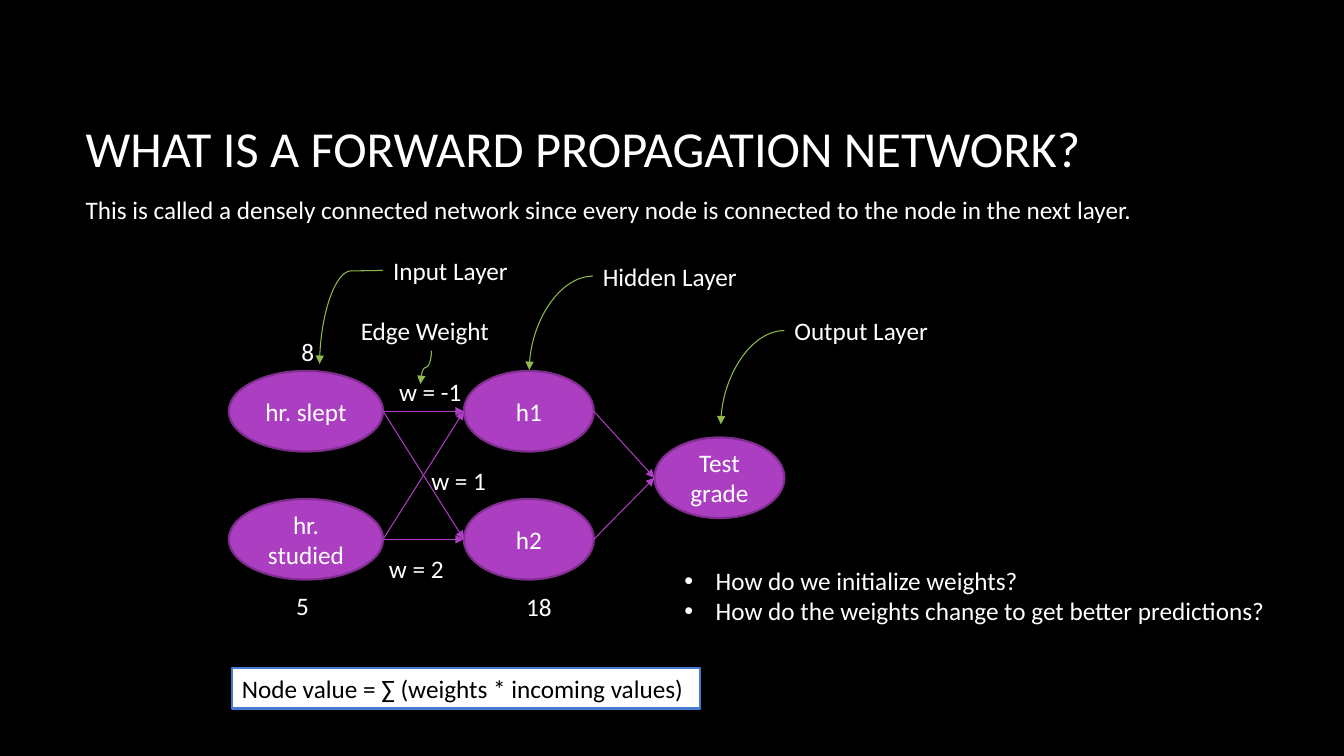
"""Builds a slide that explains a forward propagation network."""
from collections import namedtuple
from itertools import product

from lxml import etree
from pptx import Presentation
from pptx import util as u
from pptx.dml.color import RGBColor
from pptx.enum import shapes, text
from pptx.oxml.ns import qn

COLOURS = {
    "page": "000000", "light": "FFFFFF", "dark": "000000",
    "node": "AC3EC1", "node_edge": "7F2E8F",
    "pointer": "90BA4C", "formula_edge": "477BD1",
}
Box = namedtuple("Box", "left top width height")


def colour(name):
    """Return the named colour."""
    return RGBColor.from_string(COLOURS[name])


def lengths(*values):
    """Convert inches to slide lengths."""
    return [u.Inches(value) for value in values]


def set_values(target, values):
    """Set each attribute in a dict of format values."""
    for name, value in values.items():
        setattr(target, name, value)


def write(shape, lines, size=18, ink="light", wrap=True, grow=True, middle=False, centred=False):
    """Write lines of text into a shape and return its frame."""
    frame = shape.text_frame
    set_values(frame, {
        "text": "\n".join(lines),
        "word_wrap": wrap,
        "auto_size": text.MSO_AUTO_SIZE.SHAPE_TO_FIT_TEXT if grow else text.MSO_AUTO_SIZE.NONE,
        "vertical_anchor": text.MSO_ANCHOR.MIDDLE if middle else text.MSO_ANCHOR.TOP,
    })
    for para in frame.paragraphs:
        para.alignment = text.PP_ALIGN.CENTER if centred else text.PP_ALIGN.LEFT
        for span in para.runs:
            set_values(span.font, {"name": "Calibri", "size": u.Pt(size)})
            span.font.color.rgb = colour(ink)
    return frame


def add_label(page, box, *lines, **style):
    """Add a text box."""
    return write(page.shapes.add_textbox(*lengths(*box)), lines, **style)


def add_panel(page, kind, box, fill, edge, line, **style):
    """Add a filled, outlined shape with text."""
    shape = page.shapes.add_shape(kind, *lengths(*box))
    shape.shadow.inherit = False
    shape.fill.solid()
    shape.fill.fore_color.rgb = colour(fill)
    shape.line.color.rgb = colour(edge)
    shape.line.width = u.Pt(1.5)
    write(shape, [line], **style)


def add_arrow(page, kind, start, end, ink):
    """Add a thin arrow between two points."""
    arrow = page.shapes.add_connector(kind, *lengths(*start, *end))
    arrow.line.color.rgb = colour(ink)
    arrow.line.width = u.Pt(0.75)
    etree.SubElement(arrow.line._get_or_add_ln(), qn("a:tailEnd"), type="triangle")
    etree.SubElement(arrow._element.spPr, qn("a:effectLst"))
    return arrow


def add_bend(page, start, end):
    """Add a pointer that leaves sideways and arrives from above."""
    arrow = add_arrow(page, shapes.MSO_CONNECTOR.CURVE, start, end, "pointer")
    arrow._element.spPr.find(qn("a:prstGeom")).set("prst", "curvedConnector2")


def add_drop(page, start, end, turn):
    """Add an S-shaped pointer that leaves and arrives vertically."""
    middle_x, middle_y = (start[0] + end[0]) / 2, (start[1] + end[1]) / 2
    half_drop, half_shift = (end[1] - start[1]) / 2, (start[0] - end[0]) / 2
    arrow = add_arrow(
        page, shapes.MSO_CONNECTOR.CURVE,
        (middle_x - half_drop, middle_y - half_shift),
        (middle_x + half_drop, middle_y + half_shift), "pointer")
    properties = arrow._element.spPr
    properties.find(qn("a:xfrm")).set("rot", str(90 * 60000))
    guides = properties.find(qn("a:prstGeom")).find(qn("a:avLst"))
    etree.SubElement(guides, qn("a:gd"), name="adj1", fmla=f"val {round(turn * 100000)}")


def add_heading(page, box):
    """Add the title and the sentence under it."""
    add_label(page, box, "WHAT IS A FORWARD PROPAGATION NETWORK?",
              size=36, grow=False, middle=True)
    add_label(page, Box(box.left, box.top + 1.21, 10.61, 0.4),
              "This is called a densely connected network since every node "
              "is connected to the node in the next layer.", wrap=False)


def add_network(page, box):
    """Add the nodes of three layers and the edges between them."""
    height, row_gap = 0.8, 1.27
    layers = [
        (0, 1.53, 0, ["hr. slept", "hr. studied"]),
        (2.33, 1.29, 0, ["h1", "h2"]),
        (4.22, 1.29, 0.66, ["Test grade"]),
    ]
    columns = []
    for left, width, drop, names in layers:
        column = [Box(box.left + left, box.top + drop + row * row_gap, width, height)
                  for row in range(len(names))]
        columns.append(column)
        for node, name in zip(column, names):
            add_panel(page, shapes.MSO_SHAPE.OVAL, node, "node", "node_edge", name,
                      grow=False, middle=True, centred=True)
    for sources, targets in zip(columns, columns[1:]):
        for source, target in product(sources, targets):
            add_arrow(page, shapes.MSO_CONNECTOR.STRAIGHT,
                      (source.left + source.width, source.top + height / 2),
                      (target.left, target.top + height / 2), "node")


def add_numbers(page, box):
    """Add the node values and edge weights around the network."""
    numbers = [
        ("8", 0.62, -0.39, 0.33, False), ("5", 0.57, 2.13, 0.33, False),
        ("18", 2.85, 2.14, 0.46, False), ("w = -1", 1.59, 0, 0.83, False),
        ("w = 1", 1.91, 0.89, 0.84, True), ("w = 2", 1.49, 1.76, 0.84, True),
    ]
    for words, left, top, width, wrap in numbers:
        add_label(page, Box(box.left + left, box.top + top, width, 0.4), words, wrap=wrap)


def add_callouts(page, box):
    """Add the layer names and the pointers from them."""
    callouts = [
        ("Input Layer", 0.63, 0, 1.63), ("Edge Weight", 0.31, 0.6, 1.63),
        ("Hidden Layer", 2.71, 0.06, 2.78), ("Output Layer", 4.61, 0.6, 2.78),
    ]
    starts = {}
    for words, left, top, width in callouts:
        label = Box(box.left + left, box.top + top, width, 0.4)
        add_label(page, label, words)
        starts[words] = (label.left, label.top + label.height / 2)
    for words in ("Hidden Layer", "Output Layer"):
        x, y = starts[words]
        add_bend(page, (x, y), (x - 0.63, y + 0.93))
    x, y = starts["Input Layer"]
    add_drop(page, (x, y), (x - 0.63, y + 0.93), 0.008)
    x, y = starts["Edge Weight"]
    add_drop(page, (x + 0.8, y + 0.2), (x + 0.69, y + 0.53), 0.5)


def add_questions(page, box):
    """Add the bulleted questions."""
    frame = add_label(page, box, "How do we initialize weights?",
                      "How do the weights change to get better predictions?", wrap=False)
    indent = u.Inches(0.31)
    for para in frame.paragraphs:
        properties = para._p.get_or_add_pPr()
        properties.set("marL", str(indent))
        properties.set("indent", str(-indent))
        etree.SubElement(properties, qn("a:buFont"), typeface="Arial")
        etree.SubElement(properties, qn("a:buChar"), char="•")


def add_formula(page, box):
    """Add the outlined node value formula."""
    add_panel(page, shapes.MSO_SHAPE.RECTANGLE, box, "light", "formula_edge",
              "Node value = ∑ (weights * incoming values)", ink="dark", wrap=False)


def main():
    """Build and save the deck."""
    deck = Presentation()
    set_values(deck, {"slide_width": u.Inches(13.33), "slide_height": u.Inches(7.5)})
    page = deck.slides.add_slide(deck.slide_layouts[6])
    page.background.fill.solid()
    page.background.fill.fore_color.rgb = colour("page")
    network = Box(2.27, 3.68, 5.51, 2.07)
    add_heading(page, Box(0.75, 0.67, 11.08, 1.59))
    add_network(page, network)
    add_numbers(page, network)
    add_callouts(page, Box(3.17, 2.48, 7.39, 1.73))
    add_questions(page, Box(6.69, 5.56, 6.04, 0.71))
    add_formula(page, Box(2.3, 6.63, 4.64, 0.4))
    deck.save("out.pptx")


if __name__ == "__main__":
    main()
